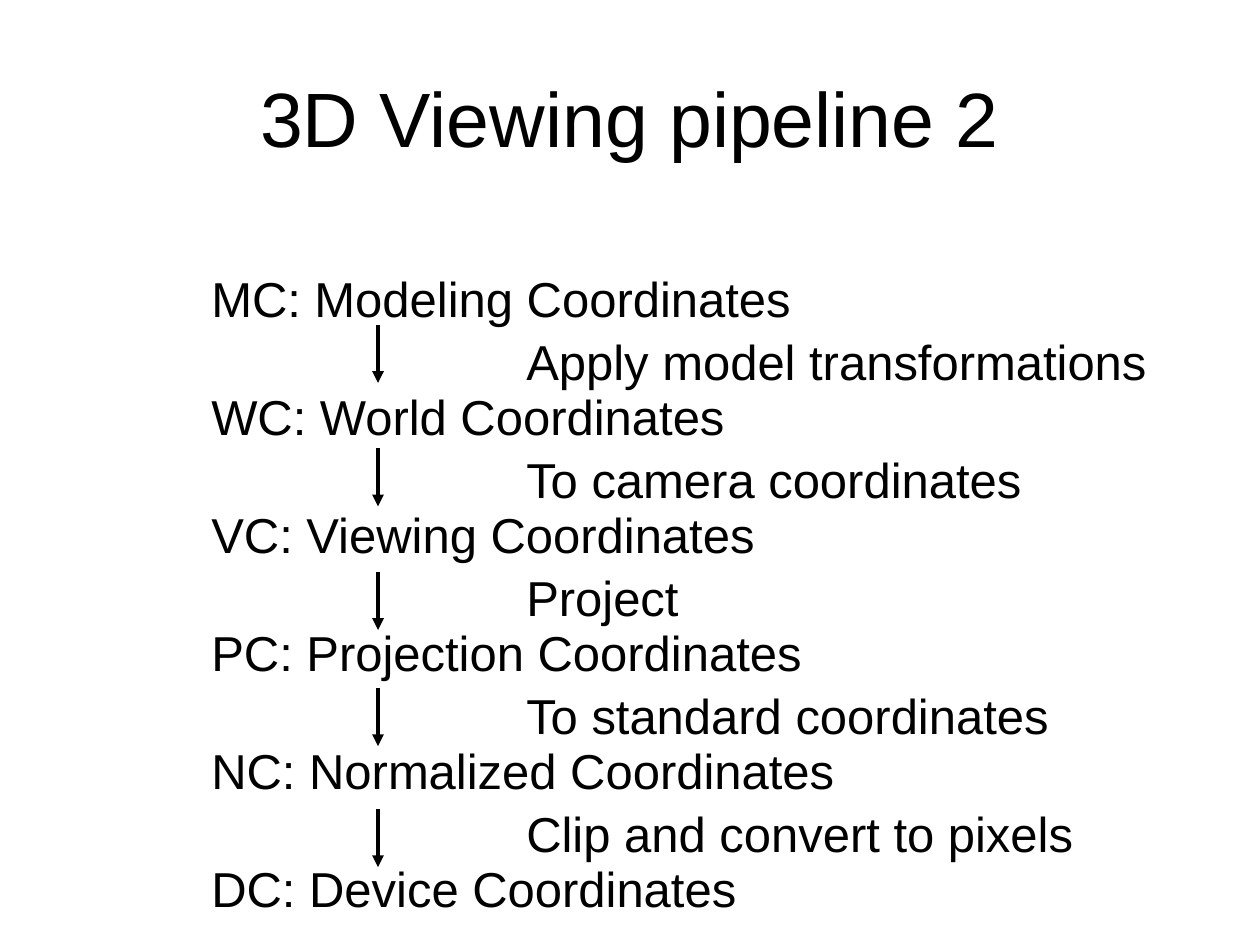
from dataclasses import dataclass

from lxml import etree
from pptx import Presentation
from pptx.dml.color import RGBColor
from pptx.enum.shapes import MSO_CONNECTOR
from pptx.enum.text import MSO_ANCHOR, PP_ALIGN
from pptx.oxml.ns import qn
from pptx.util import Cm, Pt

STRAIGHT = MSO_CONNECTOR.STRAIGHT
TOP, MIDDLE = MSO_ANCHOR.TOP, MSO_ANCHOR.MIDDLE
LEFT, CENTER = PP_ALIGN.LEFT, PP_ALIGN.CENTER

INK = "000000"
LINE_PITCH = Pt(33.7)
ARROW_X, ARROW_LENGTH = 7.62, 1.17
ARROW_TOPS = (6.55, 9.04, 11.53, 13.87, 16.31)


@dataclass(frozen=True)
class Column:
    left: float
    top: float
    width: float
    height: float
    wrap: bool
    lines: tuple[str, ...]


COORDINATE_SYSTEMS = Column(4.01, 5.28, 15.67, 13.31, True, (
    "MC: Modeling Coordinates",
    "WC: World Coordinates",
    "VC: Viewing Coordinates",
    "PC: Projection Coordinates",
    "NC: Normalized Coordinates",
    "DC: Device Coordinates",
))
TRANSFORMATIONS = Column(10.36, 6.55, 13, 10.9, False, (
    "Apply model transformations",
    "To camera coordinates",
    "Project",
    "To standard coordinates",
    "Clip and convert to pixels",
))


def color(value: str) -> RGBColor:
    return RGBColor.from_string(value)


def apply_format(target, values: dict) -> None:
    for name, value in values.items():
        setattr(target, name, value)


def write(paragraph, text: str, size: int) -> None:
    run = paragraph.add_run()
    run.text = text
    apply_format(run.font, {"name": "Arial", "size": Pt(size), "bold": False})
    run.font.color.rgb = color(INK)


def add_title(slide, text: str) -> None:
    title = slide.shapes.title
    apply_format(title, {"left": Cm(1.27), "top": Cm(0.76),
                         "width": Cm(22.86), "height": Cm(3.18)})
    title.text_frame.vertical_anchor = MIDDLE
    heading = title.text_frame.paragraphs[0]
    heading.alignment = CENTER
    write(heading, text, 44)


def add_column(slide, column: Column) -> None:
    """Leave one line free between entries, where the other column has its own."""
    box = slide.shapes.add_textbox(Cm(column.left), Cm(column.top),
                                   Cm(column.width), Cm(column.height))
    frame = box.text_frame
    apply_format(frame, {"word_wrap": column.wrap, "vertical_anchor": TOP})
    for index, line in enumerate(column.lines):
        paragraph = frame.add_paragraph() if index else frame.paragraphs[0]
        apply_format(paragraph, {"alignment": LEFT, "line_spacing": LINE_PITCH,
                                 "space_after": LINE_PITCH})
        write(paragraph, line, 28)


def add_down_arrow(slide, top: float) -> None:
    arrow = slide.shapes.add_connector(STRAIGHT, Cm(ARROW_X), Cm(top),
                                       Cm(ARROW_X), Cm(top + ARROW_LENGTH))
    arrow.line.width = Pt(2.25)
    arrow.line.color.rgb = color(INK)
    etree.SubElement(arrow.line._get_or_add_ln(), qn("a:tailEnd"), type="triangle")
    etree.SubElement(arrow._element.spPr, qn("a:effectLst"))


def main() -> None:
    deck = Presentation()
    apply_format(deck, {"slide_width": Cm(25.4), "slide_height": Cm(19.05)})
    slide = deck.slides.add_slide(deck.slide_layouts[5])
    slide.background.fill.solid()
    slide.background.fill.fore_color.rgb = color("FFFFFF")

    add_title(slide, "3D Viewing pipeline 2")
    for column in (COORDINATE_SYSTEMS, TRANSFORMATIONS):
        add_column(slide, column)
    for top in ARROW_TOPS:
        add_down_arrow(slide, top)
    deck.save("out.pptx")


if __name__ == "__main__":
    main()
